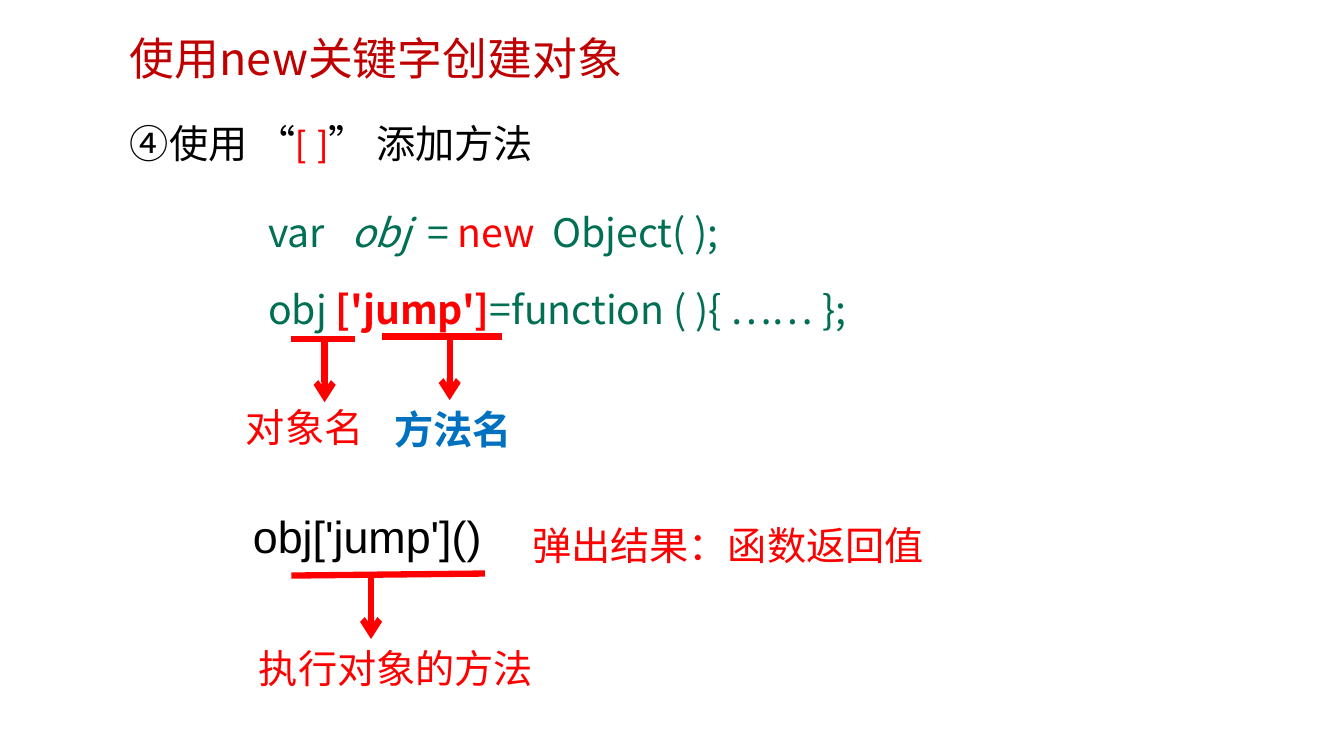
from dataclasses import dataclass

from lxml.etree import SubElement
from pptx import Presentation
from pptx.dml.color import RGBColor
from pptx.enum.shapes import MSO_CONNECTOR as Connector
from pptx.enum.text import MSO_AUTO_SIZE as AutoSize
from pptx.oxml.ns import qn
from pptx.slide import Slide
from pptx.util import Inches, Pt

COLORS = {
    "title": "C00000",
    "red": "FF0000",
    "green": "006F53",
    "blue": "0070C0",
    "black": "000000",
}
CJK_FONT = "Noto Sans CJK SC"
LINE_WIDTH = Pt(4.5)


@dataclass(frozen=True)
class Span:
    text: str
    color: str = "red"
    size: float = 28
    font: str = CJK_FONT
    bold: bool = False
    italic: bool = False
    tracking: float = 0  # extra points after each character


@dataclass(frozen=True)
class TextBlock:
    left: float
    top: float
    width: float
    height: float
    lines: tuple[tuple[Span, ...], ...]
    wrap: bool = False
    grow: bool = True
    indent: float = 0
    line_spacing: float = 1.0
    space_after: float = 0


@dataclass(frozen=True)
class Pointer:
    """An underline and the arrow that drops from it to a label."""
    left: float
    right: float
    start_y: float
    end_y: float
    arrow_x: float


def gap(points: float) -> Span:
    return Span(" ", "green", tracking=points)


DECLARATION = (
    Span("var", "green"), gap(12.5), Span("obj", "green", italic=True), gap(6.25),
    Span("= ", "green"), Span("new"), gap(6.25), Span("Object( );", "green"),
)
ASSIGNMENT = (
    Span("obj ", "green"), Span("['jump']", bold=True),
    Span("=function ( ){ …… };", "green"),
)
HEADING = (
    Span("④使用 “", "black", font="Calibri"), Span("[ ]", font="Calibri"),
    Span("” 添加方法", "black", font="Calibri"),
)

TEXT_BLOCKS = (
    TextBlock(1.19, 0.26, 8.96, 0.54,
              ((Span("使用new关键字创建对象", "title", 32),),), wrap=True, grow=False),
    TextBlock(1.19, 1.13, 8.25, 0.57, (HEADING,), wrap=True),
    TextBlock(1.78, 1.78, 7.97, 3.23, (DECLARATION, ASSIGNMENT), wrap=True,
              grow=False, indent=0.78, line_spacing=1.5, space_after=5),
    TextBlock(2.34, 3.95, 1.38, 0.57, ((Span("对象名"),),)),
    TextBlock(3.81, 3.97, 1.38, 0.57, ((Span("方法名", "blue", bold=True),),)),
    TextBlock(2.41, 5, 2.49, 0.64,
              ((Span("obj['jump']()", "black", 32, "Arial"),),)),
    TextBlock(5.18, 5.12, 4.13, 0.57, ((Span("弹出结果：函数返回值"),),)),
    TextBlock(2.47, 6.34, 2.95, 0.57, ((Span("执行对象的方法"),),)),
)

ARROW_LENGTH = 0.63
POINTERS = (
    Pointer(2.89, 3.52, 3.36, 3.36, 3.22),
    Pointer(3.79, 4.98, 3.34, 3.34, 4.46),
    Pointer(2.89, 4.81, 5.71, 5.69, 3.68),
)


def add_span(para, span: Span) -> None:
    run = para.add_run()
    run.text = span.text
    formats = {"name": span.font, "size": Pt(span.size),
               "bold": span.bold, "italic": span.italic}
    for name, value in formats.items():
        setattr(run.font, name, value)
    run.font.color.rgb = RGBColor.from_string(COLORS[span.color])
    properties = run.font._element
    SubElement(properties, qn("a:ea")).set("typeface", CJK_FONT)
    if span.tracking:
        properties.set("spc", str(round(span.tracking * 100)))


def add_text(page: Slide, block: TextBlock) -> None:
    box = page.shapes.add_textbox(Inches(block.left), Inches(block.top),
                                  Inches(block.width), Inches(block.height))
    frame = box.text_frame
    frame.word_wrap = block.wrap
    frame.auto_size = AutoSize.SHAPE_TO_FIT_TEXT if block.grow else AutoSize.NONE
    frame.margin_left = Inches(0.1 + block.indent)
    for index, line in enumerate(block.lines):
        para = frame.add_paragraph() if index else frame.paragraphs[0]
        formats = {"line_spacing": block.line_spacing,
                   "space_after": Pt(block.space_after)}
        for name, value in formats.items():
            setattr(para, name, value)
        for span in line:
            add_span(para, span)


def add_line(page: Slide, x1: float, y1: float, x2: float, y2: float,
             arrow: bool = False) -> None:
    line = page.shapes.add_connector(Connector.STRAIGHT, Inches(x1), Inches(y1),
                                     Inches(x2), Inches(y2))
    line.line.width = LINE_WIDTH
    line.line.color.rgb = RGBColor.from_string(COLORS["red"])
    if arrow:
        SubElement(line.line._get_or_add_ln(), qn("a:tailEnd")).set("type", "arrow")
    SubElement(line._element.spPr, qn("a:effectLst"))


def add_pointer(page: Slide, pointer: Pointer) -> None:
    add_line(page, pointer.left, pointer.start_y, pointer.right, pointer.end_y)
    add_line(page, pointer.arrow_x, pointer.start_y, pointer.arrow_x,
             pointer.start_y + ARROW_LENGTH, arrow=True)


def main() -> None:
    deck = Presentation()
    deck.slide_width, deck.slide_height = Inches(13.33), Inches(7.5)
    page = deck.slides.add_slide(deck.slide_layouts[6])
    for block in TEXT_BLOCKS:
        add_text(page, block)
    for pointer in POINTERS:
        add_pointer(page, pointer)
    deck.save("out.pptx")


if __name__ == "__main__":
    main()
